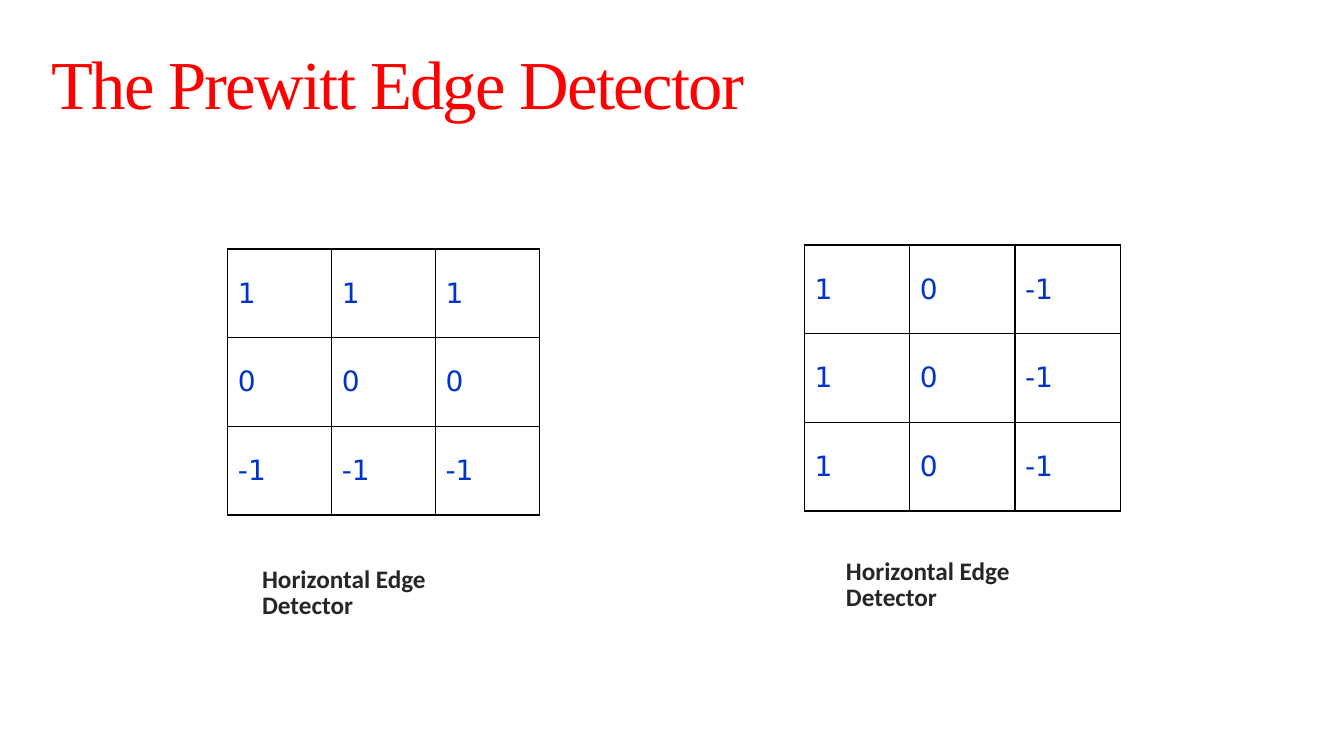
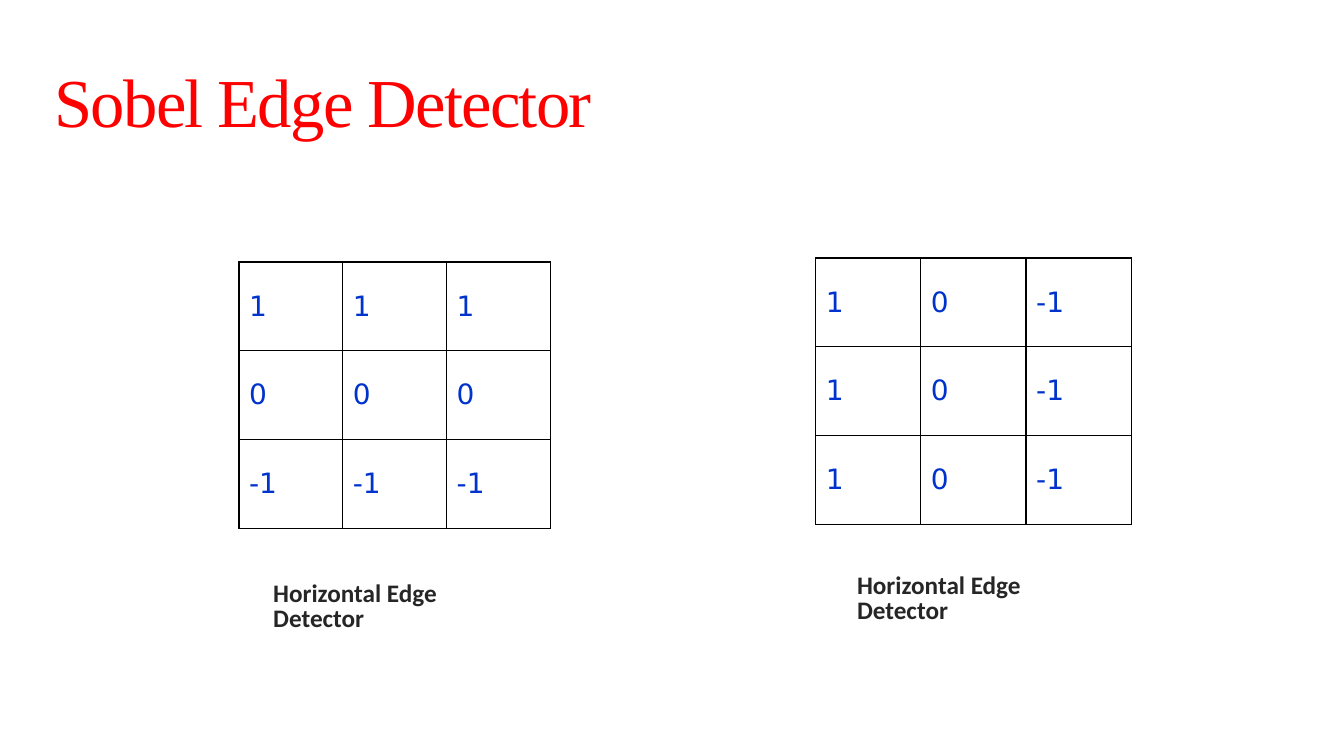
from lxml import etree
from pptx import Presentation
from pptx.dml.color import RGBColor
from pptx.enum import text
from pptx.oxml import ns
from pptx.util import Inches, Pt

COLORS = {"title": "FF0000", "value": "0033CC", "caption": "262626", "border": "000000"}
TITLE_STYLE = {"size": 49, "font": "Times New Roman", "color": "title"}
VALUE_STYLE = {"size": 20, "font": "DejaVu Sans", "color": "value"}
CAPTION_STYLE = {"size": 18, "font": "Calibri", "color": "caption", "bold": True}

DETECTORS = [
    {"title": "The Prewitt Edge Detector", "title_at": (0.41, 0.51), "shift": (0, 0)},
    {"title": "Sobel Edge Detector", "title_at": (0.44, 0.69), "shift": (0.11, 0.13)},
]
TITLE_SIZE = (10.82, 0.73)
ROW_HEIGHT = 0.88
KERNELS = [
    {
        "values": [(1, 1, 1), (0, 0, 0), (-1, -1, -1)],
        "at": (2.26, 2.47), "width": 3.09,
        "caption": "Horizontal Edge Detector", "caption_box": (2.4, 5.59, 2.83, 0.36),
    },
    {
        "values": [(1, 0, -1)] * 3,
        "at": (7.98, 2.43), "width": 3.13,
        "caption": "Horizontal Edge Detector", "caption_box": (8.19, 5.51, 2.79, 0.44),
    },
]


def style_run(run, size, font, color, bold=False):
    run.font.size = Pt(size)
    run.font.name = font
    run.font.bold = bold
    run.font.color.rgb = RGBColor.from_string(COLORS[color])


def add_text(slide, box, content, style, anchor, left_inset=0.1):
    frame = slide.shapes.add_textbox(*map(Inches, box)).text_frame
    frame.word_wrap = True
    frame.vertical_anchor = anchor
    frame.margin_left = Inches(left_inset)
    frame.text = content
    paragraph = frame.paragraphs[0]
    paragraph.line_spacing = 0.85
    style_run(paragraph.runs[0], **style)
    return paragraph.runs[0]


def add_borders(cell):
    properties = cell._tc.get_or_add_tcPr()
    for side in ("lnL", "lnR", "lnT", "lnB"):
        line = etree.SubElement(properties, ns.qn(f"a:{side}"), w=str(Pt(1)))
        fill = etree.SubElement(line, ns.qn("a:solidFill"))
        etree.SubElement(fill, ns.qn("a:srgbClr"), val=COLORS["border"])


def add_kernel(slide, values, left, top, width):
    rows, cols = len(values), len(values[0])
    table = slide.shapes.add_table(
        rows, cols, Inches(left), Inches(top), Inches(width), Inches(rows * ROW_HEIGHT)
    ).table
    table.first_row = table.horz_banding = False
    for column in table.columns:
        column.width = Inches(width / cols)
    for r, row in enumerate(values):
        table.rows[r].height = Inches(ROW_HEIGHT)
        for c, value in enumerate(row):
            cell = table.cell(r, c)
            cell.text = str(value)
            cell.vertical_anchor = text.MSO_ANCHOR.MIDDLE
            add_borders(cell)
            cell.fill.background()
            style_run(cell.text_frame.paragraphs[0].runs[0], **VALUE_STYLE)


def add_detector(deck, detector):
    slide = deck.slides.add_slide(deck.slide_layouts[6])
    title = add_text(slide, detector["title_at"] + TITLE_SIZE, detector["title"],
                     TITLE_STYLE, text.MSO_ANCHOR.MIDDLE)
    title.font._element.set("spc", "-120")
    dx, dy = detector["shift"]
    for kernel in KERNELS:
        left, top = kernel["at"]
        add_kernel(slide, kernel["values"], left + dx, top + dy, kernel["width"])
    for kernel in KERNELS:
        left, top, width, height = kernel["caption_box"]
        add_text(slide, (left + dx, top + dy, width, height), kernel["caption"],
                 CAPTION_STYLE, text.MSO_ANCHOR.TOP, left_inset=0.2)


def main():
    deck = Presentation()
    deck.slide_width, deck.slide_height = Inches(13.33), Inches(7.5)
    for detector in DETECTORS:
        add_detector(deck, detector)
    deck.save("out.pptx")


if __name__ == "__main__":
    main()
